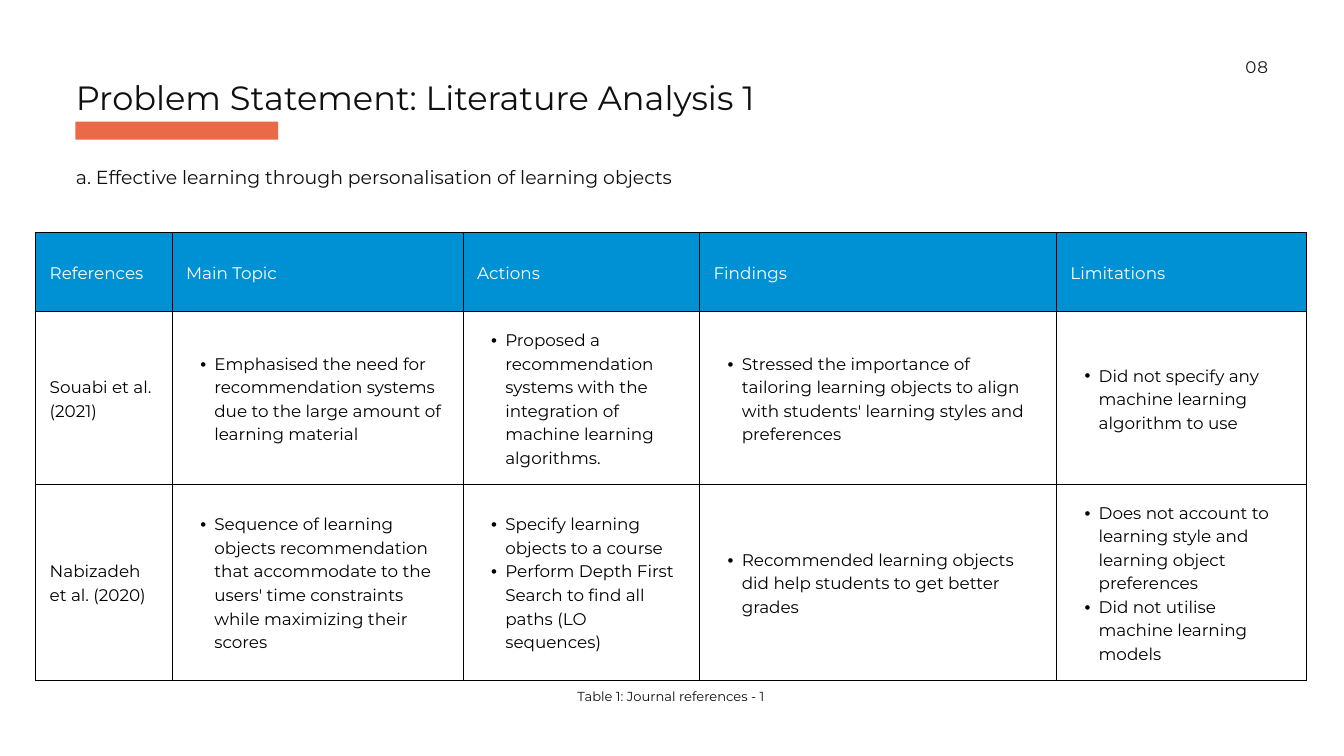
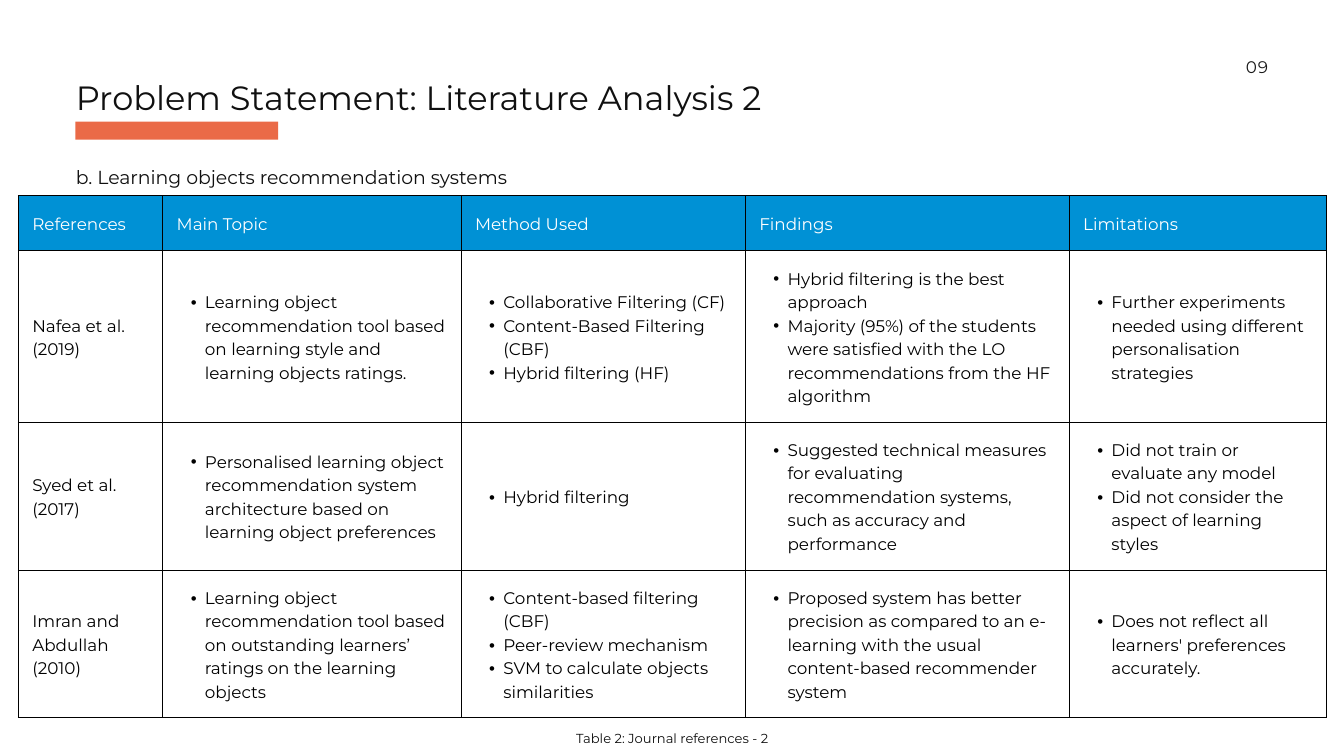
from lxml.etree import SubElement
from pptx import Presentation
from pptx.dml.color import RGBColor
from pptx.enum.shapes import MSO_SHAPE
from pptx.enum.text import MSO_ANCHOR, PP_ALIGN
from pptx.oxml.ns import qn
from pptx.util import Inches, Pt

FONT = "Montserrat"
COLOURS = {
    "header": "0091D5",
    "accent": "EA6A47",
    "text": "101010",
    "number": "191919",
    "white": "FFFFFF",
    "black": "000000",
}
CELL_INSET = 0.21

# In the tables, a string is a plain cell and a list is a bulleted cell.
PAGES = [
    {
        "number": "08",
        "title": "Problem Statement: Literature Analysis 1",
        "subtitle": "a. Effective learning through personalisation of learning objects",
        "caption": "Table 1: Journal references - 1",
        "caption_top": 10.15,
        "origin": (0.53, 3.45),
        "widths": [2.03, 4.33, 3.52, 5.31, 3.72],
        "heights": [1.19, 2.57, 2.91],
        "rows": [
            ["References", "Main Topic", "Actions", "Findings", "Limitations"],
            [
                "Souabi et al. (2021)",
                ["Emphasised the need for recommendation systems due to the large amount of learning material"],
                ["Proposed a recommendation systems with the integration of machine learning algorithms."],
                ["Stressed the importance of tailoring learning objects to align with students' learning styles "
                 "and preferences"],
                ["Did not specify any machine learning algorithm to use"],
            ],
            [
                "Nabizadeh et al. (2020)",
                ["Sequence of learning objects recommendation that accommodate to the users' time constraints "
                 "while maximizing their scores"],
                ["Specify learning objects to a course",
                 "Perform Depth First Search to find all paths (LO sequences)"],
                ["Recommended learning objects did help students to get better grades"],
                ["Does not account to learning style and learning object preferences",
                 "Did not utilise machine learning models"],
            ],
        ],
    },
    {
        "number": "09",
        "title": "Problem Statement: Literature Analysis 2",
        "subtitle": "b. Learning objects recommendation systems",
        "caption": "Table 2: Journal references - 2",
        "caption_top": 10.77,
        "origin": (0.27, 2.91),
        "widths": [2.15, 4.44, 4.23, 4.82, 3.83],
        "heights": [0.82, 2.55, 2.2, 2.2],
        "rows": [
            ["References", "Main Topic", "Method Used", "Findings", "Limitations"],
            [
                "Nafea et al. (2019)",
                ["Learning object recommendation tool based on learning style and learning objects ratings."],
                ["Collaborative Filtering (CF)", "Content-Based Filtering (CBF)", "Hybrid filtering (HF)"],
                ["Hybrid filtering is the best approach",
                 "Majority (95%) of the students were satisfied with the LO recommendations from the HF algorithm"],
                ["Further experiments needed using different personalisation strategies"],
            ],
            [
                "Syed et al. (2017)",
                ["Personalised learning object recommendation system architecture based on learning object "
                 "preferences"],
                ["Hybrid filtering"],
                ["Suggested technical measures for evaluating recommendation systems, such as accuracy and "
                 "performance"],
                ["Did not train or evaluate any model", "Did not consider the aspect of learning styles"],
            ],
            [
                "Imran and Abdullah (2010)",
                ["Learning object recommendation tool based on outstanding learners’ ratings on the learning "
                 "objects"],
                ["Content-based filtering (CBF)", "Peer-review mechanism", "SVM to calculate objects similarities"],
                ["Proposed system has better precision as compared to an e-learning with the usual content-based "
                 "recommender system"],
                ["Does not reflect all learners' preferences accurately."],
            ],
        ],
    },
]


def colour(name):
    return RGBColor.from_string(COLOURS[name])


def write_paragraph(paragraph, text, size=18, ink="text", leading=25.2, align=None, spacing=None):
    """Fill a paragraph; leading is in points, spacing in hundredths of a point."""
    paragraph.line_spacing = Pt(leading)
    paragraph.alignment = align
    span = paragraph.add_run()
    span.text = text
    span.font.name = FONT
    span.font.size = Pt(size)
    span.font.color.rgb = colour(ink)
    if spacing:
        span.font._element.set("spc", str(spacing))


def add_text(page, text, left, top, width, height, **style):
    box = page.shapes.add_textbox(Inches(left), Inches(top), Inches(width), Inches(height))
    frame = box.text_frame
    frame.word_wrap = True
    frame.margin_left = frame.margin_right = frame.margin_top = frame.margin_bottom = 0
    write_paragraph(frame.paragraphs[0], text, **style)


def add_accent_bar(page):
    bar = page.shapes.add_shape(MSO_SHAPE.RECTANGLE, Inches(1.12), Inches(1.81), Inches(3.02), Inches(0.27))
    bar.shadow.inherit = False
    bar.fill.solid()
    bar.fill.fore_color.rgb = colour("accent")
    bar.line.fill.background()


def add_bullet(paragraph):
    paragraph.level = 1
    properties = paragraph._p.get_or_add_pPr()
    properties.set("marL", str(Inches(2 * CELL_INSET)))
    properties.set("indent", str(-Inches(CELL_INSET)))
    SubElement(properties, qn("a:buFont"), typeface="Arial")
    SubElement(properties, qn("a:buChar"), char="•")


def add_borders(cell):
    properties = cell._tc.get_or_add_tcPr()
    for side in ("lnL", "lnR", "lnT", "lnB"):
        line = SubElement(properties, qn(f"a:{side}"), w=str(Pt(0.75)))
        fill = SubElement(line, qn("a:solidFill"))
        SubElement(fill, qn("a:srgbClr"), val=COLOURS["black"])


def fill_cell(cell, content, is_header):
    cell.vertical_anchor = MSO_ANCHOR.MIDDLE
    cell.margin_left = cell.margin_right = cell.margin_top = cell.margin_bottom = Inches(CELL_INSET)
    add_borders(cell)
    if is_header:
        cell.fill.solid()
        cell.fill.fore_color.rgb = colour("header")
    else:
        cell.fill.background()
    bulleted = isinstance(content, list)
    frame = cell.text_frame
    for index, text in enumerate(content if bulleted else [content]):
        paragraph = frame.add_paragraph() if index else frame.paragraphs[0]
        if bulleted:
            add_bullet(paragraph)
        write_paragraph(paragraph, text, ink="white" if is_header else "black")


def add_reference_table(page, rows, origin, widths, heights):
    left, top = origin
    frame = page.shapes.add_table(len(rows), len(widths), Inches(left), Inches(top),
                                  Inches(sum(widths)), Inches(sum(heights)))
    table = frame.table
    table.first_row = table.horz_banding = False
    for column, width in zip(table.columns, widths):
        column.width = Inches(width)
    for row, height in zip(table.rows, heights):
        row.height = Inches(height)
    for row_index, row in enumerate(rows):
        for column_index, content in enumerate(row):
            fill_cell(table.cell(row_index, column_index), content, is_header=row_index == 0)


def add_page(deck, content):
    page = deck.slides.add_slide(deck.slide_layouts[6])
    page.background.fill.solid()
    page.background.fill.fore_color.rgb = colour("white")
    add_reference_table(page, content["rows"], content["origin"], content["widths"], content["heights"])
    add_text(page, content["number"], 18.45, 0.79, 0.42, 0.34,
             ink="number", align=PP_ALIGN.RIGHT, spacing=90)
    add_accent_bar(page)
    add_text(page, content["title"], 1.13, 1.04, 11.91, 0.68,
             size=36, leading=50.4, align=PP_ALIGN.JUSTIFY)
    add_text(page, content["subtitle"], 1.13, 2.32, 17.75, 0.43,
             size=20.2, leading=34.3, align=PP_ALIGN.JUSTIFY)
    add_text(page, content["caption"], content["origin"][0], content["caption_top"], sum(content["widths"]), 0.3,
             size=14, leading=23.8, align=PP_ALIGN.CENTER)


def main():
    deck = Presentation()
    deck.slide_width = Inches(20)
    deck.slide_height = Inches(11.25)
    for content in PAGES:
        add_page(deck, content)
    deck.save("out.pptx")


if __name__ == "__main__":
    main()
